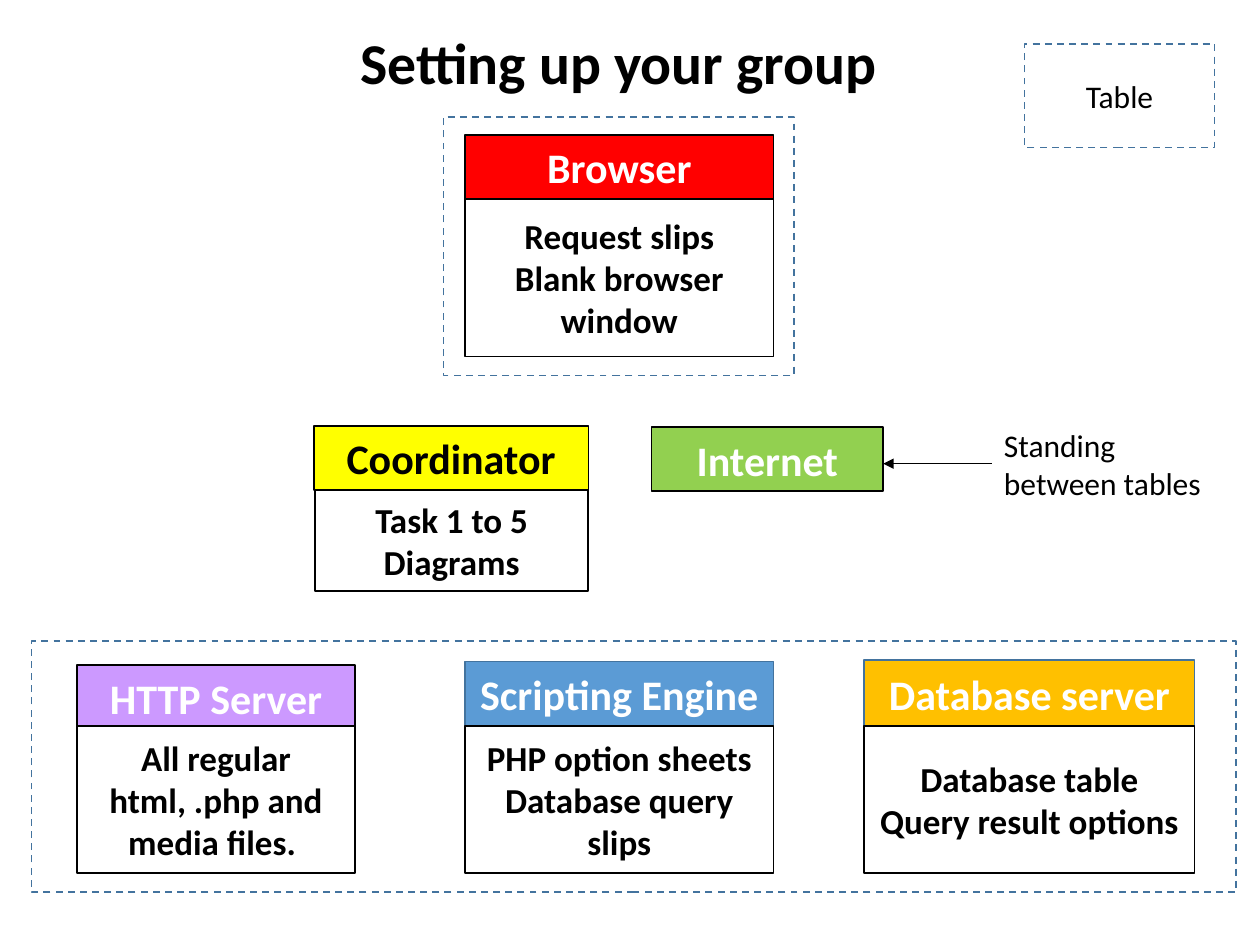
from dataclasses import dataclass

from lxml.etree import SubElement
from pptx import Presentation
from pptx.dml.color import RGBColor
from pptx.enum.dml import MSO_LINE
from pptx.enum.shapes import MSO_CONNECTOR, MSO_SHAPE
from pptx.enum.text import MSO_ANCHOR, PP_ALIGN
from pptx.oxml.ns import qn
from pptx.util import Inches, Pt


@dataclass
class Theme:
    font: str = "Calibri"
    black: str = "000000"
    white: str = "FFFFFF"
    edge: str = "43739E"
    red: str = "FF0000"
    yellow: str = "FFFF00"
    green: str = "92D050"
    purple: str = "CC99FF"
    blue: str = "5B9BD5"
    gold: str = "FFC000"
    title: int = 33
    head: int = 24
    body: int = 20
    note: int = 18


theme = Theme()


def write(shape, lines, size, color, bold=True, align=PP_ALIGN.CENTER, anchor=MSO_ANCHOR.MIDDLE):
    frame = shape.text_frame
    frame.word_wrap = True
    frame.vertical_anchor = anchor
    frame.text = "\n".join(lines)
    for para in frame.paragraphs:
        para.alignment = align
        para.font.name = theme.font
        para.font.size = Pt(size)
        para.font.bold = bold
        para.font.color.rgb = RGBColor.from_string(color)


def add_box(place, line, fill=None):
    box = slide.shapes.add_shape(MSO_SHAPE.RECTANGLE, *map(Inches, place))
    box.shadow.inherit = False
    box.line.color.rgb = RGBColor.from_string(line)
    box.line.width = Pt(1)
    if fill:
        box.fill.solid()
        box.fill.fore_color.rgb = RGBColor.from_string(fill)
    else:
        box.fill.background()
        box.line.dash_style = MSO_LINE.DASH
    return box


deck = Presentation()
deck.slide_width, deck.slide_height = Inches(10), Inches(7.5)
slide = deck.slides.add_slide(deck.slide_layouts[6])

# Title
title = slide.shapes.add_textbox(Inches(0.6), Inches(0.01), Inches(8.62), Inches(1.02))
write(title, ["Setting up your group"], theme.title, theme.black)
title.text_frame.paragraphs[0].line_spacing = 0.9

# Tables: dashed outlines, the last one is the key
add_box((3.52, 0.93, 2.78, 2.05), theme.edge)
add_box((0.25, 5.09, 9.56, 1.99), theme.edge)
key = add_box((8.13, 0.35, 1.51, 0.82), theme.edge)
write(key, ["Table"], theme.note, theme.black, bold=False)

# Roles: name, head place, fill, line, text colour, body place, items
roles = [
    ("Browser", (3.69, 1.07, 2.45, 0.51), theme.red, theme.black, theme.white,
     (3.69, 1.58, 2.45, 1.25), ["Request slips", "Blank browser window"]),
    ("Coordinator", (2.49, 3.38, 2.18, 0.51), theme.yellow, theme.black, theme.black,
     (2.5, 3.89, 2.17, 0.8), ["Task 1 to 5 Diagrams"]),
    ("Internet", (5.17, 3.39, 1.84, 0.51), theme.green, theme.black, theme.white,
     None, []),
    ("HTTP Server", (0.61, 5.28, 2.21, 0.51), theme.purple, theme.black, theme.white,
     (0.61, 5.76, 2.21, 1.17), ["All regular html, .php and media files. "]),
    ("Scripting Engine", (3.69, 5.25, 2.45, 0.51), theme.blue, theme.edge, theme.white,
     (3.69, 5.76, 2.45, 1.17), ["PHP option sheets", "Database query slips"]),
    ("Database server", (6.86, 5.24, 2.62, 0.53), theme.gold, theme.edge, theme.white,
     (6.86, 5.76, 2.62, 1.17), ["Database table", "Query result options"]),
]
for name, top, fill, line, color, below, items in roles:
    write(add_box(top, line, fill), [name], theme.head, color)
    if below:
        write(add_box(below, theme.black, theme.white), items, theme.body, theme.black)

# Note with an arrow to Internet
note = slide.shapes.add_textbox(Inches(7.87), Inches(3.33), Inches(1.84), Inches(0.71))
write(note, ["Standing between tables"], theme.note, theme.black, bold=False,
      align=PP_ALIGN.LEFT, anchor=MSO_ANCHOR.TOP)
arrow = slide.shapes.add_connector(
    MSO_CONNECTOR.STRAIGHT, Inches(7.87), Inches(3.68), Inches(7.01), Inches(3.68))
arrow.line.color.rgb = RGBColor.from_string(theme.black)
arrow.line.width = Pt(0.5)
SubElement(arrow.line._get_or_add_ln(), qn("a:tailEnd"), type="triangle")
SubElement(arrow._element.spPr, qn("a:effectLst"))

deck.save("out.pptx")
